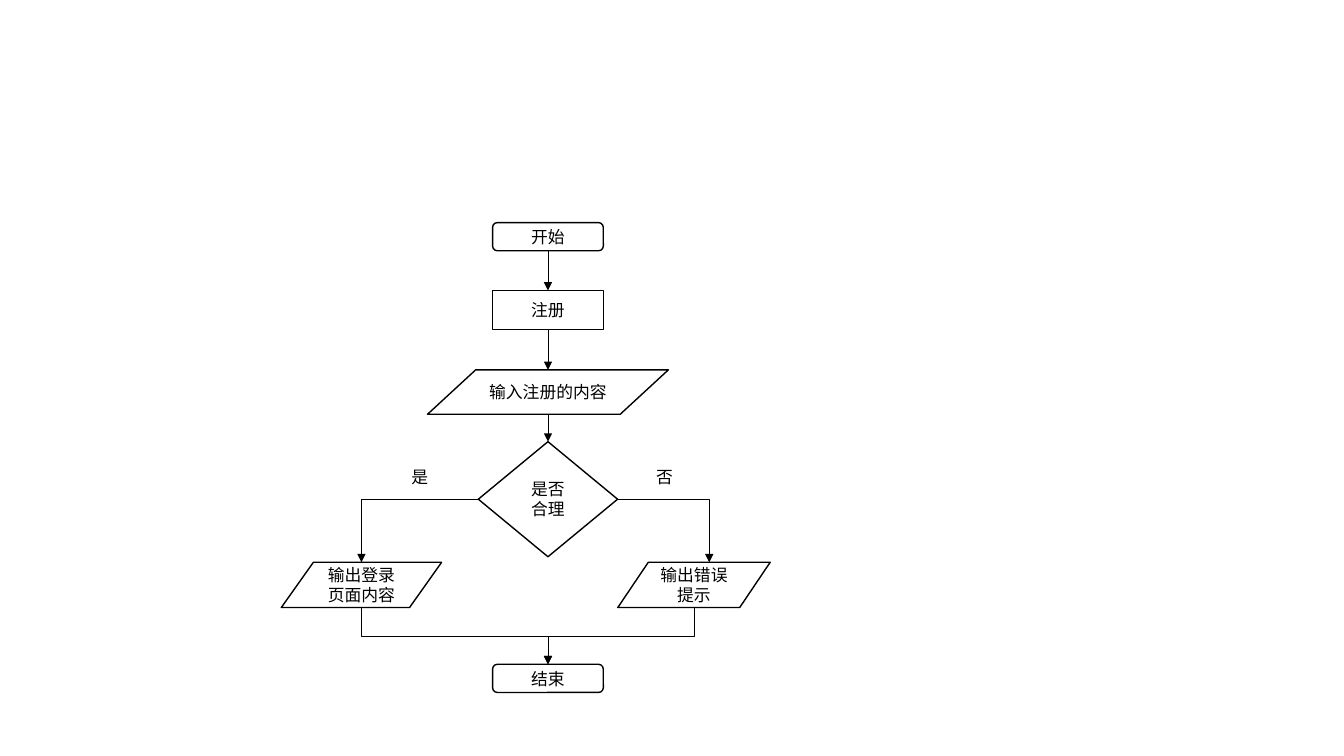
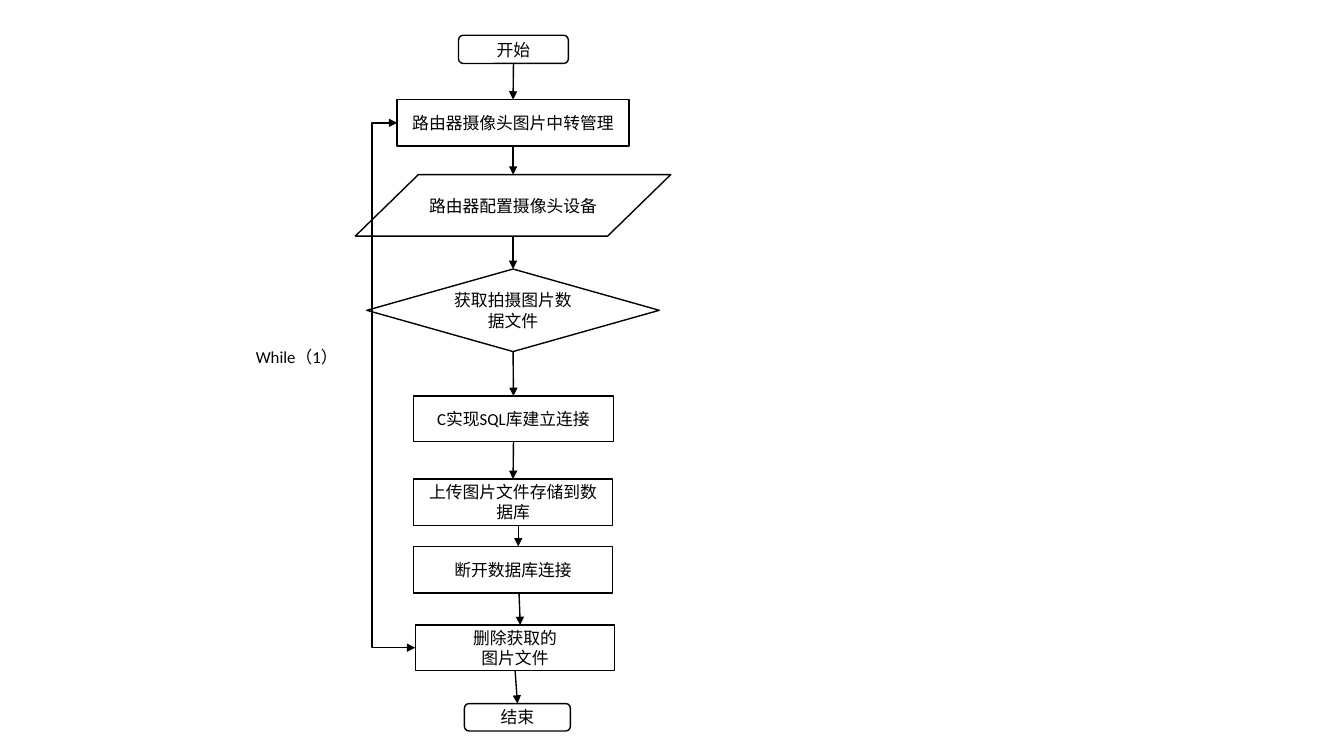
from lxml import etree
from pptx import Presentation
from pptx.dml.color import RGBColor
from pptx.enum.shapes import MSO_CONNECTOR, MSO_SHAPE
from pptx.enum.text import MSO_ANCHOR, PP_ALIGN
from pptx.oxml.ns import qn
from pptx.util import Cm, Pt

TERM = MSO_SHAPE.FLOWCHART_ALTERNATE_PROCESS
STEP = MSO_SHAPE.RECTANGLE
DATA = MSO_SHAPE.FLOWCHART_DATA
TEST = MSO_SHAPE.FLOWCHART_DECISION
LINE, ELBOW = MSO_CONNECTOR.STRAIGHT, MSO_CONNECTOR.ELBOW
MID, CENTER = MSO_ANCHOR.MIDDLE, PP_ALIGN.CENTER
INK, PAPER = "000000", "FFFFFF"
FONT, SIZE = "Calibri", 12

# Boxes: name -> kind, text, centre x, top, width, height (cm)
AXIS = 13.81
SIGNUP = {
    "start": (TERM, "开始", AXIS, 5.61, 2.79, 0.71),
    "signup": (STEP, "注册", AXIS, 7.32, 2.79, 0.99),
    "input": (DATA, "输入注册的内容", AXIS, 9.32, 6.07, 1.12),
    "check": (TEST, "是否合理", AXIS, 11.13, 3.51, 2.9),
    "login": (DATA, "输出登录页面内容", 9.11, 14.17, 4.04, 1.14),
    "error": (DATA, "输出错误提示", 17.49, 14.17, 3.84, 1.14),
    "end": (TERM, "结束", AXIS, 16.74, 2.79, 0.71),
}
SIGNUP_TAGS = [("是", 10.58, 11.58, 1.5, 0.89), ("否", 16.75, 11.56, 1.5, 0.89)]
SIGNUP_FLOW = ["start", "signup", "input", "check"]

CAMERA = {
    "start": (TERM, "开始", 12.94, 0.89, 2.77, 0.71),
    "manage": (STEP, "路由器摄像头图片中转管理", 12.93, 2.51, 5.84, 1.17),
    "config": (DATA, "路由器配置摄像头设备", 12.93, 4.4, 7.95, 1.55),
    "shoot": (TEST, "获取拍摄图片数据文件", 12.93, 6.78, 7.37, 2.08),
    "link": (STEP, "C实现SQL库建立连接", 12.94, 9.98, 5.05, 1.14),
    "store": (STEP, "上传图片文件存储到数据库", 12.93, 12.07, 5.03, 1.17),
    "unlink": (STEP, "断开数据库连接", 12.93, 13.77, 5.03, 1.17),
    "delete": (STEP, "删除获取的\n图片文件", 12.98, 15.75, 5.03, 1.14),
    "end": (TERM, "结束", 13.04, 17.73, 2.67, 0.69),
}
CAMERA_TAGS = [("While（1）", 7.48, 8.48, 3.12, 1.04)]
# Arrows that leave and arrive off the box centres: upper box -> x values
CAMERA_SHIFT = {"store": (13.06, 13.06), "unlink": (13.08, 13.11)}
LOOP_X = 9.37


def color(code):
    """Turn a hex string into a colour."""
    return RGBColor.from_string(code)


def box(slide, kind, text, mid, top, wide, high, edge=INK):
    """Draw one box with centred text."""
    shape = slide.shapes.add_shape(
        kind, Cm(mid - wide / 2), Cm(top), Cm(wide), Cm(high))
    shape.shadow.inherit = False
    shape.fill.solid()
    shape.fill.fore_color.rgb = color(PAPER)
    shape.line.color.rgb = color(edge)
    shape.line.width = Pt(1)
    frame = shape.text_frame
    frame.word_wrap = True
    frame.vertical_anchor = MID
    frame.text = text
    for para in frame.paragraphs:
        para.alignment = CENTER
        for run in para.runs:
            run.font.name = FONT
            run.font.size = Pt(SIZE)
            run.font.color.rgb = color(INK)


def arrow(slide, start, end, width, kind=LINE, ends=("tailEnd",)):
    """Draw a connector with arrowheads and return its properties."""
    link = slide.shapes.add_connector(kind, *map(Cm, start + end))
    link.line.color.rgb = color(INK)
    link.line.width = Pt(width)
    props = link.element.spPr
    for name in ends:
        etree.SubElement(props.find(qn("a:ln")), qn("a:" + name), type="triangle")
    etree.SubElement(props, qn("a:effectLst"))
    return props


def corner(slide, start, end, width):
    """Draw an arrow that runs across, then down."""
    props = arrow(slide, start, end, width, ELBOW)
    props.find(qn("a:prstGeom")).set("prst", "bentConnector2")


def merge(slide, start, end, width):
    """Draw an arrow that runs down, across, then down."""
    mid_x, mid_y = (start[0] + end[0]) / 2, (start[1] + end[1]) / 2
    left = end[0] < start[0]
    half_w = (end[1] - start[1]) / 2 * (1 if left else -1)
    half_h = abs(end[0] - start[0]) / 2
    props = arrow(slide, (mid_x - half_w, mid_y - half_h),
                  (mid_x + half_w, mid_y + half_h), width, ELBOW)
    turn = 90 if left else 270
    props.find(qn("a:xfrm")).set("rot", str(turn * 60000))


def loop(slide, start, end, via, width):
    """Draw a two-headed arrow that runs by way of the given x."""
    props = arrow(slide, start, end, width, ELBOW, ("headEnd", "tailEnd"))
    ratio = round((via - start[0]) / (end[0] - start[0]) * 100000)
    guides = props.find(qn("a:prstGeom")).find(qn("a:avLst"))
    etree.SubElement(guides, qn("a:gd"), name="adj1", fmla=f"val {ratio}")


def port(item, side):
    """Return the point in the middle of one side of a box."""
    mid, top, wide, high = item[2:]
    return {"top": (mid, top), "bottom": (mid, top + high),
            "left": (mid - wide / 2, top + high / 2),
            "right": (mid + wide / 2, top + high / 2)}[side]


def chart(deck, boxes, tags, flow, width, shift):
    """Add a slide with boxes, labels and the arrows down the flow."""
    slide = deck.slides.add_slide(deck.slide_layouts[6])
    for item in boxes.values():
        box(slide, *item)
    for text, *place in tags:
        box(slide, STEP, text, *place, edge=PAPER)
    for upper, lower in zip(flow, flow[1:]):
        start, end = port(boxes[upper], "bottom"), port(boxes[lower], "top")
        x1, x2 = shift.get(upper, (start[0], end[0]))
        arrow(slide, (x1, start[1]), (x2, end[1]), width)
    return slide


def signup(deck):
    """Build the sign-up flow chart."""
    thin = 0.5
    slide = chart(deck, SIGNUP, SIGNUP_TAGS, SIGNUP_FLOW, thin, {})
    check, login, error = SIGNUP["check"], SIGNUP["login"], SIGNUP["error"]
    corner(slide, port(check, "left"), port(login, "top"), thin)
    x, y = port(error, "top")
    corner(slide, port(check, "right"), (x + error[4] / 10, y), thin)
    for item in (login, error):
        merge(slide, port(item, "bottom"), port(SIGNUP["end"], "top"), thin)


def camera(deck):
    """Build the camera flow chart with its loop."""
    slide = chart(deck, CAMERA, CAMERA_TAGS, list(CAMERA), 1, CAMERA_SHIFT)
    loop(slide, port(CAMERA["manage"], "left"),
         port(CAMERA["delete"], "left"), LOOP_X, 1)


deck = Presentation()
deck.slide_width, deck.slide_height = Cm(33.87), Cm(19.05)
signup(deck)
camera(deck)
deck.save("out.pptx")
